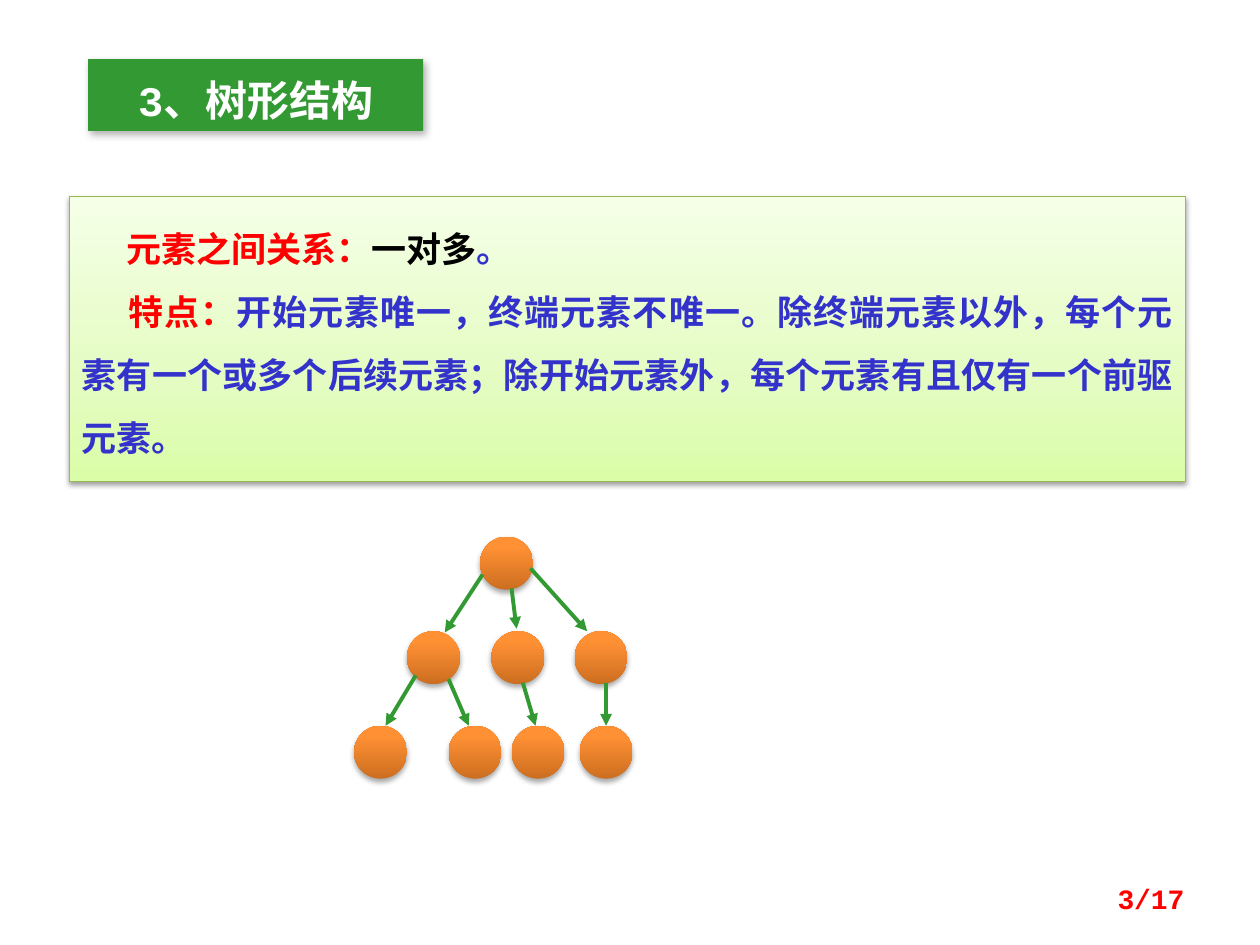
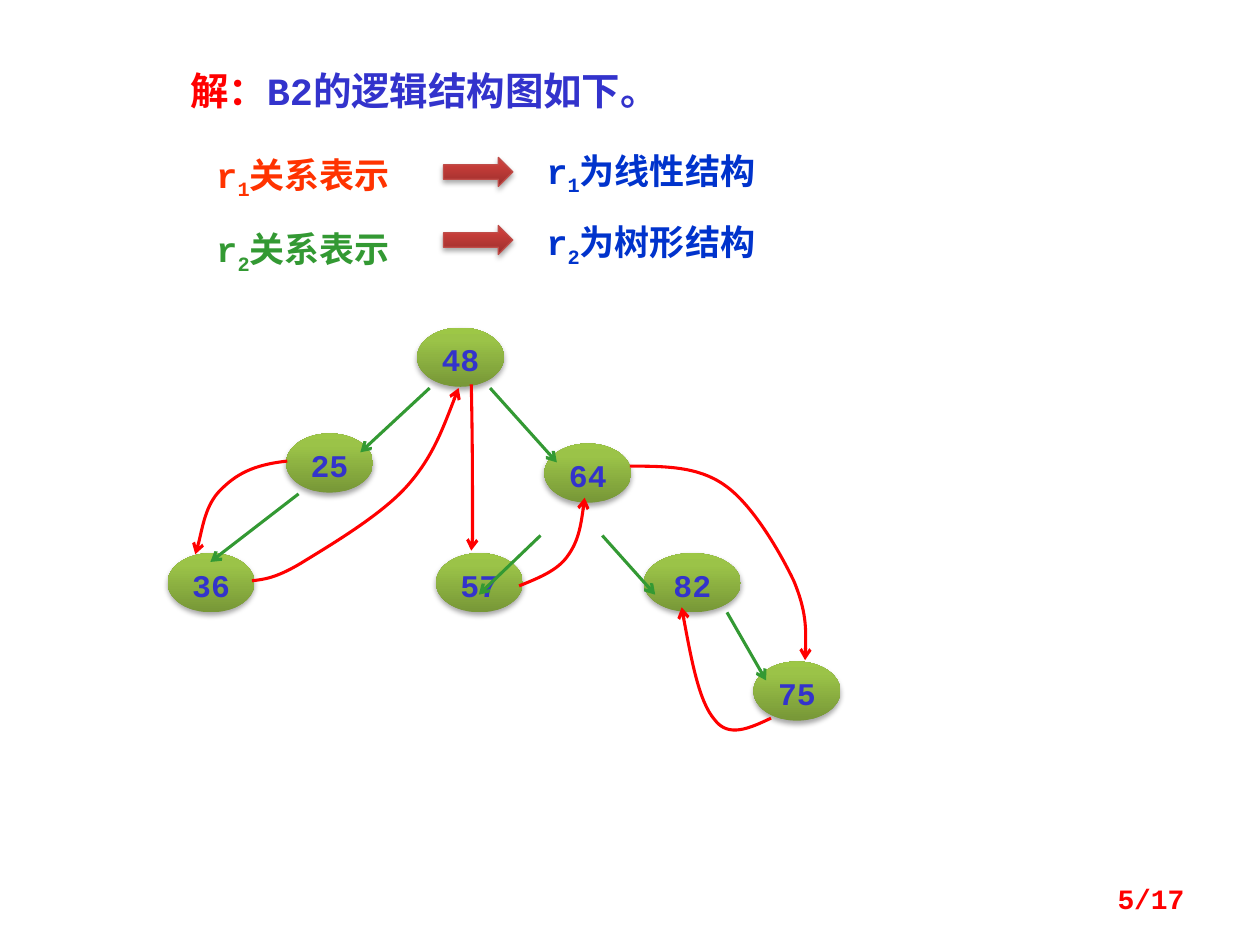
from dataclasses import dataclass
from functools import partial

from lxml import etree
from pptx import Presentation, util as u
from pptx.dml.color import RGBColor
from pptx.enum import shapes as sh, text as tx
from pptx.oxml import ns

COLS, ROWS = 100, 75
WIDE, TALL = u.Inches(10), u.Inches(7.5)


@dataclass(frozen=True)
class Theme:
    font: str = "Courier New"
    red: str = "FF0000"
    green: str = "339933"
    blue: str = "3333CC"
    navy: str = "0033CC"
    orange: str = "FF3300"
    black: str = "000000"
    white: str = "FFFFFF"
    rim: str = "98B955"
    edge: str = "BF4C48"
    mint: tuple = ((0, "DAFDA7"), (35, "E4FCC2"), (100, "F5FFE7"))
    amber: tuple = ((0, "CC6E20"), (80, "FF9034"), (100, "FF9136"))
    olive: tuple = ((0, "779737"), (80, "9BC348"), (100, "9DC746"))
    brick: tuple = ((0, "9C2F2D"), (80, "CB3E3A"), (100, "CE3B37"))
    soft: tuple = (35, 3.1, 1.8, 90)
    flat: tuple = (38, 3.1, 1.6, 90)
    deep: tuple = (30, 4.5, 2.6, 53)
    title: int = 24
    head: int = 22
    body: int = 20
    node: int = 18
    foot: int = 16


T = Theme()
OVAL = sh.MSO_SHAPE.OVAL
RECT = sh.MSO_SHAPE.RECTANGLE
ARROW = sh.MSO_SHAPE.RIGHT_ARROW
LEFT, MID, RIGHT, JUST = (tx.PP_ALIGN.LEFT, tx.PP_ALIGN.CENTER,
                          tx.PP_ALIGN.RIGHT, tx.PP_ALIGN.JUSTIFY)


def col(n):
    return round(WIDE * n / COLS)


def row(n):
    return round(TALL * n / ROWS)


def spot(box, x, y):
    return col(box[0] + x), row(box[1] + y)


def place(box, x=0, y=0, w=None, h=None):
    return (*spot(box, x, y), col(box[2] if w is None else w),
            row(box[3] if h is None else h))


def sub(host, tag, **attrs):
    return etree.SubElement(host, ns.qn(tag), {k: str(v) for k, v in attrs.items()})


def shade(shape, stops):
    shape.fill.gradient()
    grad = shape._element.spPr.find(ns.qn("a:gradFill"))
    grad.clear()
    grad.set("rotWithShape", "1")
    group = sub(grad, "a:gsLst")
    for at, hue in stops:
        sub(sub(group, "a:gs", pos=at * 1000), "a:srgbClr", val=hue)
    sub(grad, "a:lin", ang=16200000, scaled=0)


def drop(shape, look):
    alpha, blur, dist, turn = look
    shape.shadow.inherit = False
    host = shape._element.spPr.find(ns.qn("a:effectLst"))
    cast = sub(host, "a:outerShdw", blurRad=u.Pt(blur), dist=u.Pt(dist),
               dir=turn * 60000, algn="ctr", rotWithShape=0)
    sub(sub(cast, "a:srgbClr", val=T.black), "a:alpha", val=alpha * 1000)


def solid(slide, kind, area, fill, look, rim=None):
    shape = slide.shapes.add_shape(kind, *area)
    if isinstance(fill, str):
        shape.fill.solid()
        shape.fill.fore_color.rgb = RGBColor.from_string(fill)
    else:
        shade(shape, fill)
    if rim:
        shape.line.color.rgb = RGBColor.from_string(rim)
        shape.line.width = u.Pt(0.75)
    else:
        shape.line.fill.background()
    drop(shape, look)
    return shape


def write(shape, paras, size, align=LEFT, inset=(1, 0.5, 1, 0.5), indent=None,
          lead=None, gap=True, anchor=tx.MSO_ANCHOR.TOP, grow=True):
    frame = shape.text_frame
    frame.word_wrap = True
    frame.vertical_anchor = anchor
    frame.auto_size = (tx.MSO_AUTO_SIZE.SHAPE_TO_FIT_TEXT if grow
                       else tx.MSO_AUTO_SIZE.NONE)
    frame.margin_left, frame.margin_right = col(inset[0]), col(inset[2])
    frame.margin_top, frame.margin_bottom = row(inset[1]), row(inset[3])
    for i, runs in enumerate(paras):
        para = frame.add_paragraph() if i else frame.paragraphs[0]
        para.alignment = align
        if lead:
            para.line_spacing = lead
        props = para._p.get_or_add_pPr()
        if indent:
            props.set("marL", str(col(indent[0])))
            props.set("indent", str(col(indent[1])))
        if gap:
            para.space_before = u.Pt(1)
            room = props.find(ns.qn("a:spcBef"))
            room.clear()
            sub(room, "a:spcPct", val=50000)
        for words, hue, *base in runs:
            run = para.add_run()
            run.text = words
            font = run.font
            font.name, font.size, font.bold = T.font, u.Pt(size), True
            font.color.rgb = RGBColor.from_string(hue)
            if base:
                font._element.set("baseline", str(base[0] * 1000))


def label(slide, area, runs, size, **style):
    write(slide.shapes.add_textbox(*area), [runs], size, **style)


def ink(line, hue, width, tip):
    line.color.rgb = RGBColor.from_string(hue)
    line.width = u.Pt(width)
    sub(line._get_or_add_ln(), "a:tailEnd", type=tip)


def link(slide, box, start, end, width, tip):
    wire = slide.shapes.add_connector(sh.MSO_CONNECTOR.STRAIGHT,
                                      *spot(box, *start), *spot(box, *end))
    ink(wire.line, T.green, width, tip)
    sub(wire._element.spPr, "a:effectLst")


def curve(slide, box, start, *knots):
    pen = slide.shapes.build_freeform(*spot(box, *start))
    pen.add_line_segments([spot(box, *k) for k in knots], close=False)
    shape = pen.convert_to_shape()
    shape.fill.background()
    shape.shadow.inherit = False
    ink(shape.line, T.red, 1.75, "arrow")
    legs = list(shape._element.spPr.iter(ns.qn("a:lnTo")))
    for i in range(0, len(legs), 3):
        bend = sub(legs[i].getparent(), "a:cubicBezTo")
        for leg in legs[i:i + 3]:
            bend.append(leg[0])
            leg.getparent().remove(leg)


def page(slide, box, num):
    label(slide, place(box), [(f"{num}/17", T.red)], T.foot, align=RIGHT,
          gap=False, grow=False, anchor=tx.MSO_ANCHOR.MIDDLE)


def badge(slide, box, words):
    shape = solid(slide, RECT, place(box), T.green, T.deep)
    write(shape, [[(words, T.white)]], T.title, align=MID, inset=(1, 1.2, 1, 0.5))


def panel(slide, box):
    shape = solid(slide, RECT, place(box), T.mint, T.flat, T.rim)
    paras = [
        [(" ", T.blue), ("元素之间关系：", T.red), ("一对多", T.black), ("。", T.blue)],
        [(" ", T.blue), ("特点：", T.red),
         ("开始元素唯一，终端元素不唯一。除终端元素以外，每个元素有一个或多个后续元素；"
          "除开始元素外，每个元素有且仅有一个前驱元素。", T.blue)],
    ]
    write(shape, paras, T.body, align=JUST, inset=(1, 0.8, 1, 1.6),
          indent=(0, 2.9), lead=1.5, gap=False)


def tree(slide, box):
    size, pitch = 4.2, 7.5
    tiers = [(10,), (4.2, 10.9, 17.5), (0, 7.5, 12.5, 17.9)]
    for i, tier in enumerate(tiers):
        for x in tier:
            solid(slide, OVAL, place(box, x, i * pitch, size, size), T.amber, T.soft)
    for start, end in [
        ((10.2, 3), (7.2, 7.6)), ((12.5, 4.1), (12.9, 7.3)),
        ((14, 2.5), (18.5, 7.5)), ((4.9, 11), (2.5, 15)),
        ((7.5, 11.3), (9.1, 15)), ((13.4, 11.6), (14.4, 15)),
        ((20, 11.6), (20, 15)),
    ]:
        link(slide, box, start, end, 2.25, "triangle")


def claims(slide, box):
    rows = [("1", T.orange, "为线性结构", 0, 0.8, 0),
            ("2", T.green, "为树形结构", 5.9, 6.2, 5.7)]
    for low, hue, kind, left, mid, right in rows:
        label(slide, place(box, 0, left, 21.3, 3.5),
              [("r", hue), (low, hue, -25), ("关系表示", hue)], T.body,
              align=JUST, inset=(1, 0.8, 1, 0), indent=(5, -5), lead=0.8)
        solid(slide, ARROW, place(box, 19, mid, 5.5, 2.3), T.brick, T.soft, T.edge)
        label(slide, place(box, 26.2, right, 25.8, 3.7),
              [("r", T.navy), (low, T.navy, -25), (kind, T.navy)], T.body, lead=0.8)


def graph(slide, box):
    nodes = {"48": (19.8, 0), "25": (9.4, 8.4), "36": (0, 17.9), "64": (29.9, 9.2),
             "57": (21.3, 17.9), "82": (37.8, 17.9), "75": (46.5, 26.5)}
    for name, (x, y) in nodes.items():
        wide = 7.7 if name == "82" else 6.9
        shape = solid(slide, OVAL, place(box, x, y, wide, 4.7), T.olive, T.soft)
        write(shape, [[(name, T.blue)]], T.node, align=MID, inset=(0, 0, 0, 0),
              indent=(5, -5), lead=1.1, anchor=tx.MSO_ANCHOR.MIDDLE)
    for start, end in [
        ((20.8, 4.8), (15.3, 9.9)), ((10.4, 13.2), (3.4, 18.6)),
        ((25.6, 4.8), (30.9, 10.7)), ((34.5, 16.5), (38.7, 21.2)),
        ((29.6, 16.5), (24.7, 21.2)), ((44.4, 22.6), (47.5, 28)),
    ]:
        link(slide, box, start, end, 1.75, "arrow")
    bow = partial(curve, slide, box)
    bow((9.5, 10.6), (6.7, 10.9), (5.4, 11.7), (4.2, 12.9),
        (3, 14.1), (2.6, 16.9), (2.2, 18))
    bow((6.7, 20.1), (7.6, 20), (8.6, 19.9), (10.6, 18.7),
        (12.7, 17.4), (16.8, 15), (18.9, 12.7),
        (21, 10.4), (22, 7.6), (23.1, 4.8))
    bow((24.1, 4.5), (24.2, 8.7), (24.2, 12.9), (24.2, 15.1),
        (24.2, 17.3), (24.2, 17.5), (24.1, 17.7))
    bow((27.9, 20.5), (29.4, 19.9), (30.9, 19.3), (31.7, 18.2),
        (32.6, 17), (32.9, 15.2), (33.1, 13.5))
    bow((47.9, 31), (46.2, 31.8), (44.5, 32.6), (43.4, 31.1),
        (42.2, 29.7), (41.5, 26), (40.8, 22.2))
    bow((36.7, 11), (39.4, 11), (42.1, 11), (44.2, 12.5),
        (46.4, 14), (48.6, 17.8), (49.7, 20.1),
        (50.7, 22.5), (50.7, 24.5), (50.6, 26.4))


def lead_in(slide, box):
    label(slide, place(box), [("解：", T.red), ("B2的逻辑结构图如下。", T.blue)],
          T.head, lead=0.8)


def main():
    deck = Presentation()
    deck.slide_width, deck.slide_height = WIDE, TALL
    blank = deck.slide_layouts[6]
    foot = (71.7, 69.3, 23.3, 4)

    slide = deck.slides.add_slide(blank)
    panel(slide, (5.5, 15.6, 88.6, 22.6))
    tree(slide, (28.1, 42.6, 22.1, 19.2))
    badge(slide, (7, 4.7, 26.6, 5.7), "3、树形结构")
    page(slide, foot, 3)

    slide = deck.slides.add_slide(blank)
    graph(slide, (13.3, 26, 53.4, 32.6))
    lead_in(slide, (14.1, 5.5, 53.1, 4))
    claims(slide, (16.2, 11.7, 52, 9.4))
    page(slide, foot, 5)

    deck.save("out.pptx")


if __name__ == "__main__":
    main()
